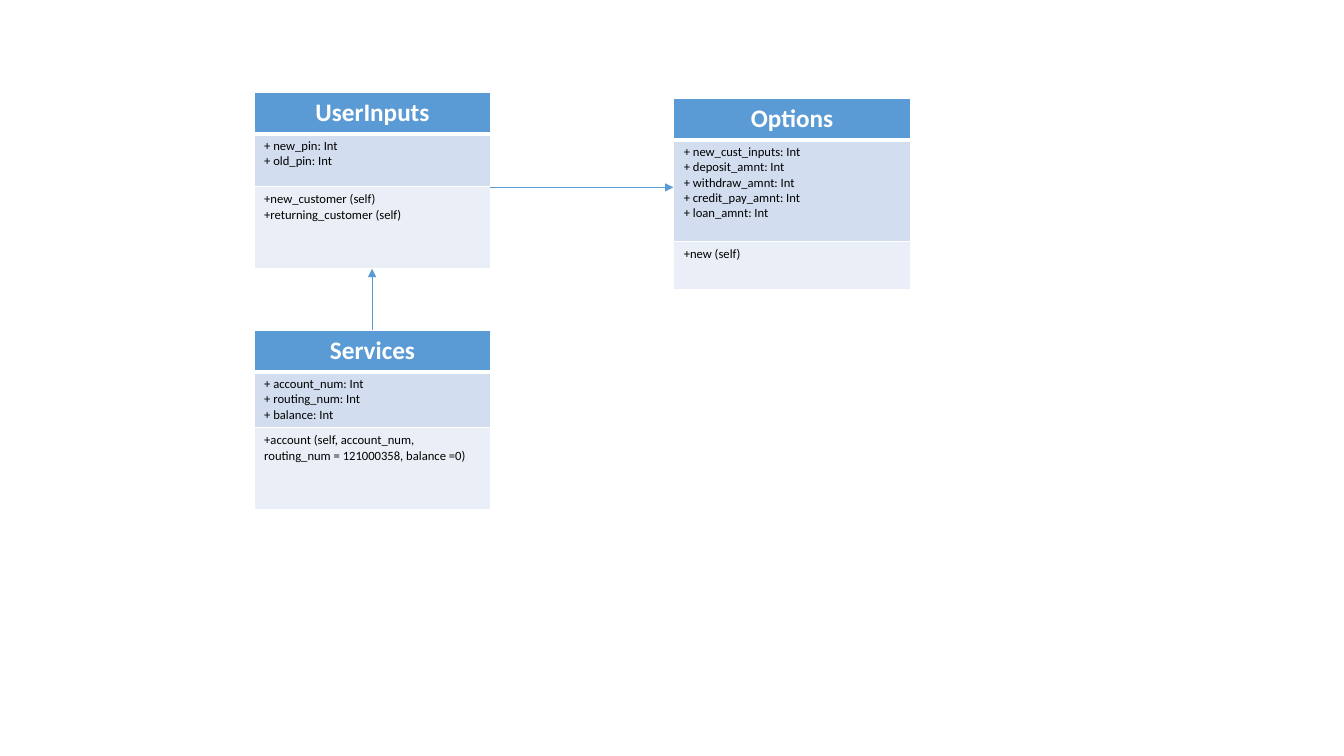
"""Build a class diagram slide with three class tables and two arrows."""
from lxml import etree
from pptx import Presentation
from pptx.dml.color import RGBColor
from pptx.enum.shapes import MSO_CONNECTOR
from pptx.enum.text import PP_ALIGN
from pptx.oxml.ns import qn
from pptx.util import Pt

STRAIGHT = MSO_CONNECTOR.STRAIGHT
CENTER, LEFT = PP_ALIGN.CENTER, PP_ALIGN.LEFT

THEME = {
    "font": "Calibri",
    "title_size": 18,
    "member_size": 9,
    "title_text": "FFFFFF",
    "member_text": "000000",
    "row_fills": ["5B9BD5", "D2DEEF", "EAEFF7"],
    "border": "FFFFFF",
    "border_width": 1,
    "header_rule_width": 3,
    "arrow": "5B9BD5",
    "arrow_width": 0.5,
}
SLIDE_SIZE = (960, 540)
CLASS_WIDTH = 169.2
HEADER_HEIGHT = 29.5

CLASSES = [
    {
        "name": "UserInputs",
        "position": (181.5, 66),
        "heights": (38, 58.3),
        "attributes": ["+ new_pin: Int", "+ old_pin: Int"],
        "methods": ["+new_customer (self)", "+returning_customer (self)"],
    },
    {
        "name": "Services",
        "position": (181.5, 236),
        "heights": (40, 58.3),
        "attributes": ["+ account_num: Int", "+ routing_num: Int", "+ balance: Int"],
        "methods": ["+account (self, account_num, routing_num = 121000358, balance =0)"],
    },
    {
        "name": "Options",
        "position": (481.2, 70.3),
        "heights": (72.7, 34.6),
        "attributes": [
            "+ new_cust_inputs: Int",
            "+ deposit_amnt: Int",
            "+ withdraw_amnt: Int",
            "+ credit_pay_amnt: Int",
            "+ loan_amnt: Int",
        ],
        "methods": ["+new (self)"],
    },
]
ARROWS = [((265.8, 235.4), (265.8, 192)), ((350.2, 133.9), (481, 133.9))]


def add_borders(cell, row_index):
    properties = cell._tc.get_or_add_tcPr()
    widths = {side: THEME["border_width"] for side in ("lnL", "lnR", "lnT", "lnB")}
    if row_index == 0:
        widths["lnB"] = THEME["header_rule_width"]
    elif row_index == 1:
        widths["lnT"] = THEME["header_rule_width"]
    for side, width in widths.items():
        line = etree.SubElement(properties, qn(f"a:{side}"), w=str(Pt(width)))
        fill = etree.SubElement(line, qn("a:solidFill"))
        etree.SubElement(fill, qn("a:srgbClr"), val=THEME["border"])


def fill_cell(cell, lines, row_index):
    is_header = row_index == 0
    add_borders(cell, row_index)
    cell.fill.solid()
    cell.fill.fore_color.rgb = RGBColor.from_string(THEME["row_fills"][row_index])
    cell.text_frame.text = "\n".join(lines)
    for paragraph in cell.text_frame.paragraphs:
        paragraph.alignment = CENTER if is_header else LEFT
        font = paragraph.runs[0].font
        font.name = THEME["font"]
        font.size = Pt(THEME["title_size" if is_header else "member_size"])
        font.bold = is_header
        color = THEME["title_text" if is_header else "member_text"]
        font.color.rgb = RGBColor.from_string(color)


def add_class(slide, content):
    left, top = content["position"]
    heights = (HEADER_HEIGHT, *content["heights"])
    rows = [[content["name"]], content["attributes"], content["methods"]]
    shape = slide.shapes.add_table(
        len(rows), 1, Pt(left), Pt(top), Pt(CLASS_WIDTH), Pt(sum(heights))
    )
    for row_index, (lines, height) in enumerate(zip(rows, heights)):
        shape.table.rows[row_index].height = Pt(height)
        fill_cell(shape.table.cell(row_index, 0), lines, row_index)


def add_arrow(slide, start, end):
    points = [Pt(value) for value in (*start, *end)]
    connector = slide.shapes.add_connector(STRAIGHT, *points)
    connector.line.color.rgb = RGBColor.from_string(THEME["arrow"])
    connector.line.width = Pt(THEME["arrow_width"])
    line = connector.line._get_or_add_ln()
    etree.SubElement(line, qn("a:tailEnd"), type="triangle")
    etree.SubElement(connector._element.spPr, qn("a:effectLst"))


def main():
    presentation = Presentation()
    presentation.slide_width, presentation.slide_height = map(Pt, SLIDE_SIZE)
    slide = presentation.slides.add_slide(presentation.slide_layouts[6])
    for content in CLASSES:
        add_class(slide, content)
    for start, end in ARROWS:
        add_arrow(slide, start, end)
    presentation.save("out.pptx")


if __name__ == "__main__":
    main()
